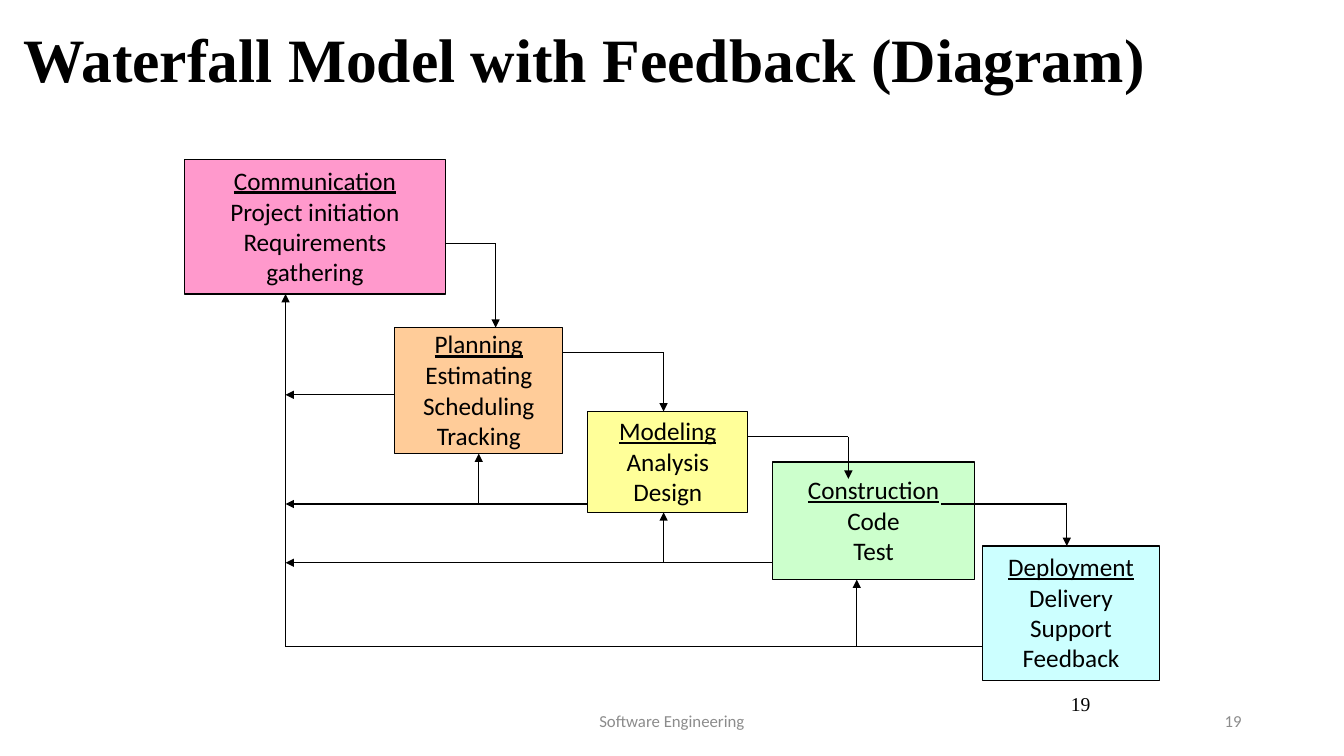
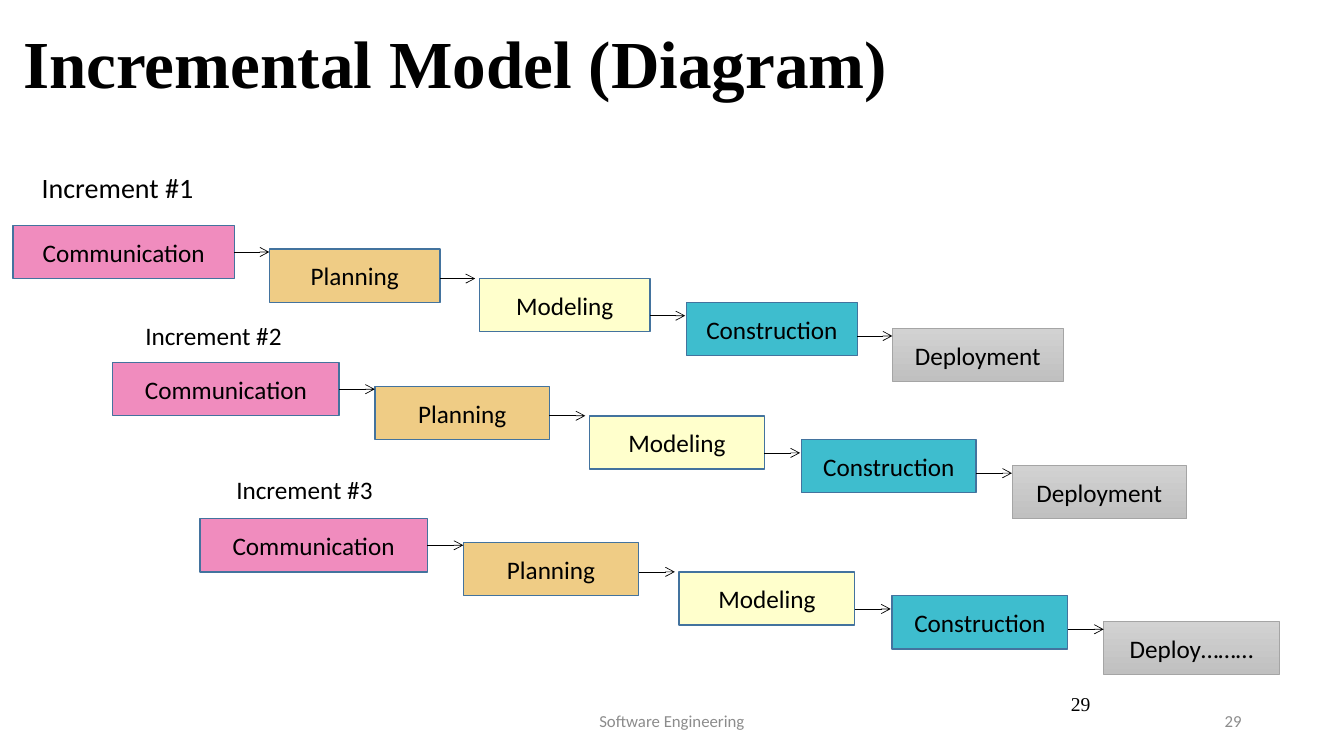
from dataclasses import dataclass

from lxml import etree
from pptx import Presentation
from pptx.dml.color import RGBColor
from pptx.enum import shapes, text
from pptx.oxml.ns import qn
from pptx.util import Pt

# Shared style
SANS, SERIF = "Calibri", "Times New Roman"
BLACK, FOOTER_GREY = "000000", "8C8C8C"
STEP_LINE, GREY_LINE = "43739E", "A5A5A5"
GREY_GRADIENT = ("D2D2D2", "C0C0C0")
LEFT, CENTER, RIGHT = text.PP_ALIGN.LEFT, text.PP_ALIGN.CENTER, text.PP_ALIGN.RIGHT
TOP, MIDDLE = text.MSO_ANCHOR.TOP, text.MSO_ANCHOR.MIDDLE


@dataclass
class Box:
    x: float
    y: float
    w: float
    h: float


@dataclass
class Phase:
    box: Box
    fill: str
    lines: list[str]


@dataclass
class Step:
    name: str
    fill: str | tuple[str, str]
    x: float
    y: float
    w: float
    arrow_y: float | None


@dataclass
class Increment:
    x: float
    y: float
    span: float
    label: Box
    label_size: int
    last_name: str


PHASES = [
    Phase(Box(132, 114, 186, 96), "FF99CC",
          ["Communication", "Project initiation", "Requirements gathering"]),
    Phase(Box(282, 234, 120, 90), "FFCC99",
          ["Planning", "Estimating", "Scheduling", "Tracking"]),
    Phase(Box(420, 294, 114, 72), "FFFF99", ["Modeling", "Analysis", "Design"]),
    Phase(Box(552, 330, 144, 84), "CCFFCC", ["Construction", "Code", "Test"]),
    Phase(Box(702, 390, 126, 96), "CCFFFF",
          ["Deployment", "Delivery", "Support", "Feedback"]),
]

BUS_X = 204
ROUTES = [
    # Forward flow
    [(318, 174), (354, 174), (354, 234)],
    [(402, 252), (474, 252), (474, 294)],
    [(534, 312), (606, 312), (606, 342)],
    [(672, 360), (762, 360), (762, 390)],
    # Feedback to the shared vertical line
    [(702, 462), (BUS_X, 462), (BUS_X, 210)],
    [(282, 282), (BUS_X, 282)],
    [(420, 360), (BUS_X, 360)],
    [(552, 402), (BUS_X, 402)],
    # Feedback to the previous phase
    [(342, 360), (342, 324)],
    [(474, 402), (474, 366)],
    [(612, 462), (612, 414)],
]

# Step places are relative to the start of an increment
CHAIN_SPAN, STEP_H, ARROW_LEN = 750, 38, 25
STEPS = [
    Step("Communication", "F08CBE", 0, 0, 158, 19),
    Step("Planning", "EFCC85", 183, 17, 122, 38),
    Step("Modeling", "FFFFCC", 333, 38, 122, 64.5),
    Step("Construction", "3EBDCE", 481, 55, 122, 79),
    Step("Deployment", GREY_GRADIENT, 628, 73.5, 122, None),
]
INCREMENTS = [
    Increment(9.4, 161, 750, Box(22, 120, 124, 30), 20, "Deployment"),
    Increment(80.6, 259, 767, Box(96, 227, 113, 28), 18, "Deployment"),
    Increment(142.8, 370.5, 771, Box(161, 337, 113, 28), 18, "Deploy………"),
]


def rgb(color: str) -> RGBColor:
    return RGBColor.from_string(color)


def place(box: Box) -> list[int]:
    return [Pt(v) for v in (box.x, box.y, box.w, box.h)]


def write(sp, lines: list[str], size: float, align=CENTER, font: str = SANS,
          color: str = BLACK, bold: bool = False, anchor=MIDDLE,
          spacing: float | None = None, wrap: bool = True) -> None:
    tf = sp.text_frame
    tf.word_wrap, tf.vertical_anchor = wrap, anchor
    for i, line in enumerate(lines):
        p = tf.paragraphs[0] if i == 0 else tf.add_paragraph()
        p.alignment = align
        p.font.size, p.font.name, p.font.bold = Pt(size), font, bold
        p.font.color.rgb = rgb(color)
        if i == 0 and spacing:
            p.line_spacing = spacing
        p.add_run().text = line


def label(s, box: Box, line: str, size: float, **style) -> None:
    write(s.shapes.add_textbox(*place(box)), [line], size, **style)


def block(s, box: Box, fill: str | tuple[str, str], line: str, width: float):
    sp = s.shapes.add_shape(shapes.MSO_SHAPE.RECTANGLE, *place(box))
    sp.shadow.inherit = False
    if isinstance(fill, str):
        sp.fill.solid()
        sp.fill.fore_color.rgb = rgb(fill)
    else:
        sp.fill.gradient()
        sp.fill.gradient_angle = 270
        for stop, color in zip(sp.fill.gradient_stops, fill):
            stop.color.rgb = rgb(color)
    sp.line.color.rgb = rgb(line)
    sp.line.width = Pt(width)
    return sp


def side_at(blocks: list, x: int, y: int):
    """Find the block and side whose middle lies at a point."""
    for sp in blocks:
        mid_x, mid_y = sp.left + sp.width // 2, sp.top + sp.height // 2
        sides = [(mid_x, sp.top), (sp.left, mid_y),
                 (mid_x, sp.top + sp.height), (sp.left + sp.width, mid_y)]
        for i, (side_x, side_y) in enumerate(sides):
            if max(abs(side_x - x), abs(side_y - y)) < Pt(0.5):
                return sp, i
    return None


def route(s, points: list[tuple[float, float]], blocks: list, width: float,
          head: str) -> None:
    """Draw straight segments with an arrowhead on the last one."""
    for i, (start, end) in enumerate(zip(points, points[1:])):
        ends = [Pt(v) for v in (*start, *end)]
        cn = s.shapes.add_connector(shapes.MSO_CONNECTOR.STRAIGHT, *ends)
        if site := side_at(blocks, *ends[:2]):
            cn.begin_connect(*site)
        if site := side_at(blocks, *ends[2:]):
            cn.end_connect(*site)
        cn.line.color.rgb = rgb(BLACK)
        cn.line.width = Pt(width)
        sp_pr = cn._element.spPr
        if i == len(points) - 2:
            etree.SubElement(sp_pr.find(qn("a:ln")), qn("a:tailEnd"), type=head)
        etree.SubElement(sp_pr, qn("a:effectLst"))


def new_slide(prs, title: str, size: int, title_box: Box, number: str):
    s = prs.slides.add_slide(prs.slide_layouts[6])
    label(s, title_box, title, size, align=LEFT, font=SERIF, bold=True, spacing=0.95)
    label(s, Box(636, 492, 150, 24), number, 14, align=RIGHT, font=SERIF,
          anchor=TOP, spacing=0.95)
    label(s, Box(318, 500.5, 324, 28.75), "Software Engineering", 12, color=FOOTER_GREY)
    label(s, Box(678, 500.5, 216, 28.75), number, 12, align=RIGHT, color=FOOTER_GREY)
    return s


def waterfall_slide(prs) -> None:
    s = new_slide(prs, "Waterfall Model with Feedback (Diagram)", 44,
                  Box(9.4, 3.6, 899, 81), "19")
    blocks = []
    for phase in PHASES:
        sp = block(s, phase.box, phase.fill, BLACK, 0.75)
        write(sp, phase.lines, 18, spacing=0.95)
        sp.text_frame.paragraphs[0].font.underline = True
        blocks.append(sp)
    for points in ROUTES:
        route(s, points, blocks, 0.75, "triangle")


def incremental_slide(prs) -> None:
    s = new_slide(prs, "Incremental Model (Diagram)", 48,
                  Box(9.4, 3.6, 950, 86), "29")
    for n, inc in enumerate(INCREMENTS, 1):
        label(s, inc.label, f"Increment #{n}", inc.label_size, anchor=TOP,
              spacing=0.95, wrap=False)
        scale = inc.span / CHAIN_SPAN
        blocks, arrows = [], []
        for step in STEPS:
            box = Box(inc.x + step.x * scale, inc.y + step.y, step.w * scale, STEP_H)
            last = step.arrow_y is None
            sp = block(s, box, step.fill, GREY_LINE if last else STEP_LINE,
                       0.5 if last else 1)
            write(sp, [inc.last_name if last else step.name], 18)
            blocks.append(sp)
            if not last:
                x, y = box.x + box.w, inc.y + step.arrow_y
                arrows.append([(x, y), (x + ARROW_LEN * scale, y)])
        for points in arrows:
            route(s, points, blocks, 0.5, "arrow")


def main() -> None:
    prs = Presentation()
    prs.slide_width, prs.slide_height = Pt(960), Pt(540)
    waterfall_slide(prs)
    incremental_slide(prs)
    prs.save("out.pptx")


if __name__ == "__main__":
    main()
